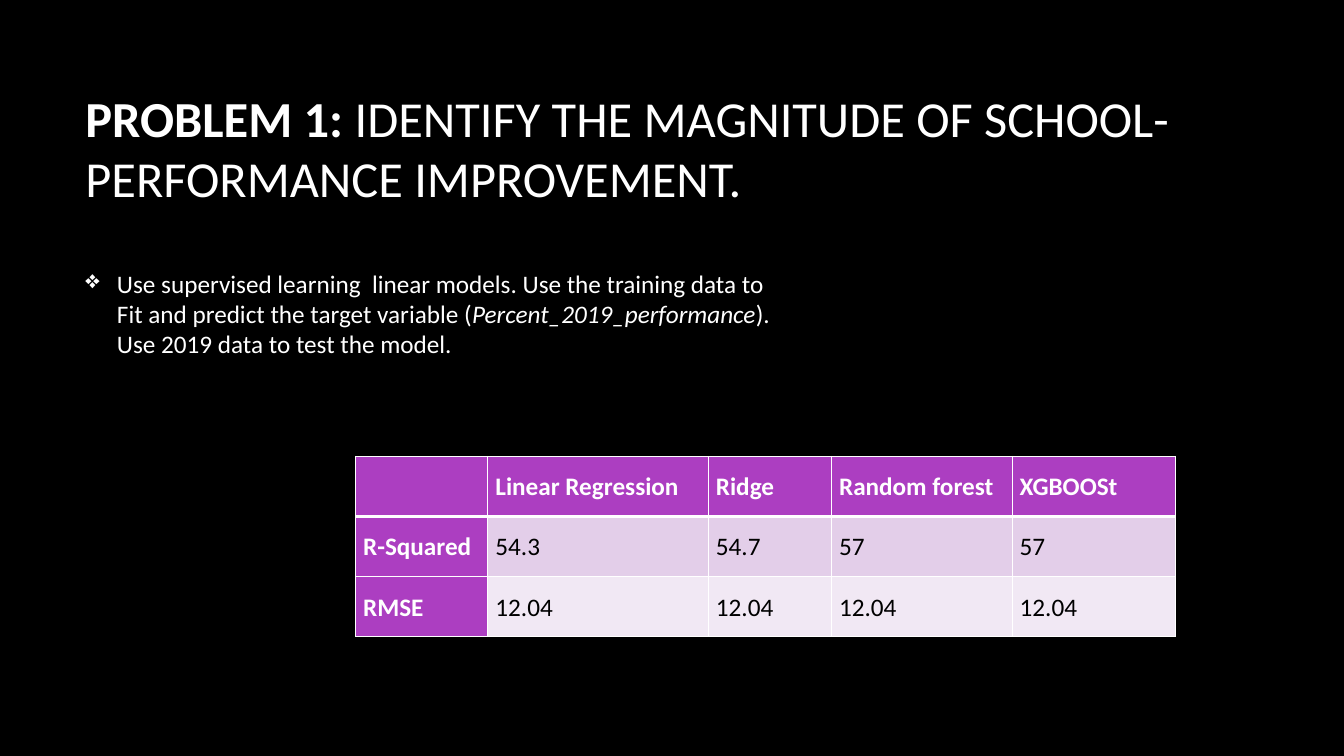
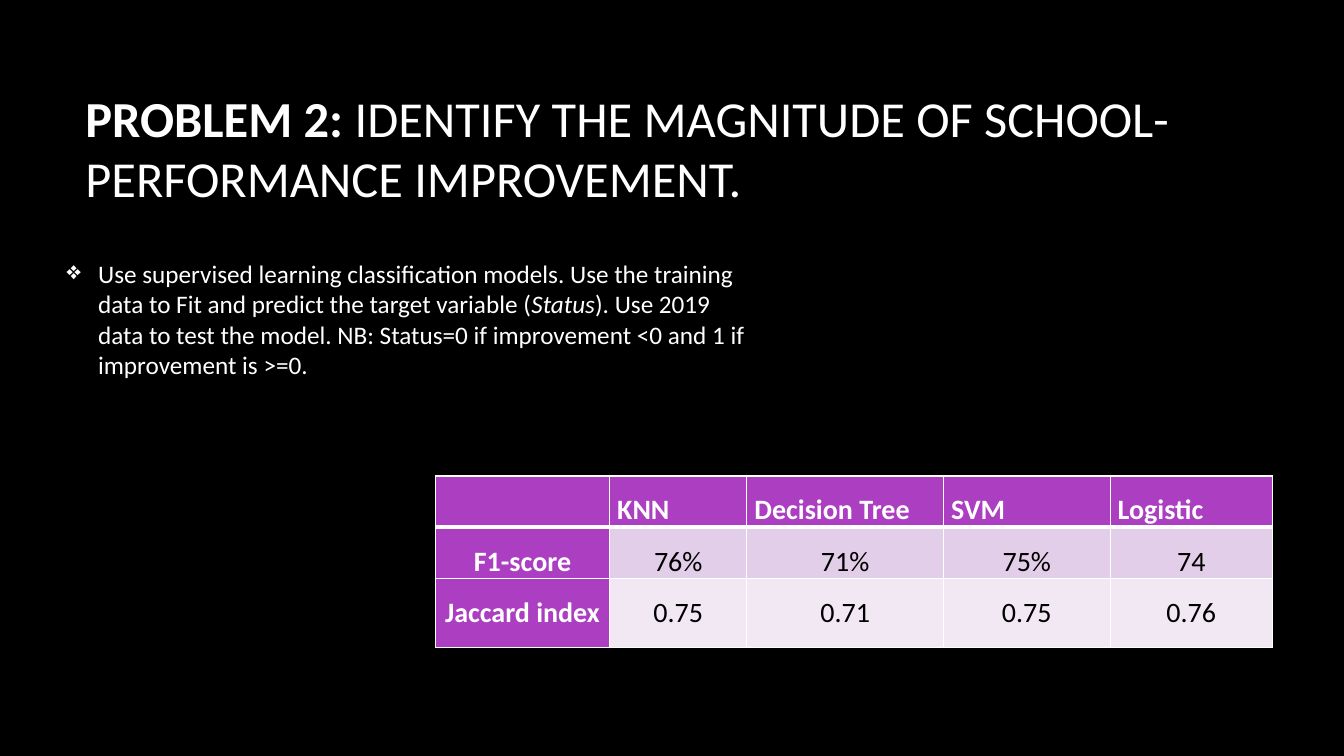
"""Build two slides that compare model scores for school performance."""
from dataclasses import dataclass

from lxml import etree
from pptx import Presentation
from pptx.dml.color import RGBColor
from pptx.enum import text
from pptx.oxml import ns
from pptx.util import Pt


@dataclass(frozen=True)
class Theme:
    font: str = "Calibri"
    back: str = "000000"
    light: str = "FFFFFF"
    dark: str = "000000"
    accent: str = "AC3EC1"
    bands: tuple = ("E3CEE9", "F1E8F4")
    title_size: float = 36
    body_size: float = 18
    hanging: float = 22.5
    cell_inset: float = 5.4
    rule: float = 1
    header_rule: float = 3


class Deck:
    def __init__(self, theme):
        self.theme = theme
        self.prs = Presentation()
        self.prs.slide_width, self.prs.slide_height = Pt(960), Pt(540)
        self.s = None

    def slide(self):
        self.s = self.prs.slides.add_slide(self.prs.slide_layouts[6])
        fill = self.s.background.fill
        fill.solid()
        fill.fore_color.rgb = RGBColor.from_string(self.theme.back)

    def style(self, r, size, color, bold=False, italic=False):
        r.font.name, r.font.size = self.theme.font, Pt(size)
        r.font.bold, r.font.italic = bold, italic
        r.font.color.rgb = RGBColor.from_string(color)

    def text_box(self, box):
        tf = self.s.shapes.add_textbox(*map(Pt, box)).text_frame
        tf.word_wrap = True
        tf.vertical_anchor = text.MSO_ANCHOR.MIDDLE
        return tf

    def title(self, label, heading):
        p = self.text_box((54, 48, 798, 114.5)).paragraphs[0]
        for words, bold in ((label, True), (heading, False)):
            r = p.add_run()
            r.text = words
            self.style(r, self.theme.title_size, self.theme.light, bold=bold)

    def bullet(self, box, before, variable, after, bottom=3.6):
        tf = self.text_box(box)
        tf.margin_bottom = Pt(bottom)
        p = tf.paragraphs[0]
        p.space_after = Pt(10)
        for words in (before, variable, after):
            r = p.add_run()
            r.text = words
            self.style(r, self.theme.body_size, self.theme.light, italic=words == variable)
        props = p._p.get_or_add_pPr()
        props.set("marL", str(Pt(self.theme.hanging)))
        props.set("indent", str(-Pt(self.theme.hanging)))
        color = etree.SubElement(props, ns.qn("a:buClr"))
        etree.SubElement(color, ns.qn("a:srgbClr"), val=self.theme.light)
        etree.SubElement(props, ns.qn("a:buChar"), char="❖")

    def borders(self, cell, row):
        props = cell._tc.get_or_add_tcPr()
        heavy = {(0, "B"), (1, "T")}
        for side in "LRTB":
            width = self.theme.header_rule if (row, side) in heavy else self.theme.rule
            line = etree.SubElement(props, ns.qn(f"a:ln{side}"), w=str(Pt(width)))
            fill = etree.SubElement(line, ns.qn("a:solidFill"))
            etree.SubElement(fill, ns.qn("a:srgbClr"), val=self.theme.light)

    def cell(self, cell, words, row, col, size, align):
        head = row == 0 or col == 0
        self.borders(cell, row)
        cell.fill.solid()
        color = self.theme.accent if head else self.theme.bands[(row - 1) % 2]
        cell.fill.fore_color.rgb = RGBColor.from_string(color)
        if not words:
            return
        cell.margin_left = cell.margin_right = Pt(self.theme.cell_inset)
        cell.margin_top = cell.margin_bottom = 0
        cell.text_frame.text = words
        p = cell.text_frame.paragraphs[0]
        p.alignment, p.line_spacing = align, 1.5
        self.style(p.runs[0], size, self.theme.light if head else self.theme.dark, bold=head)

    def table(self, left, top, widths, heights, rows, size, align):
        frame = self.s.shapes.add_table(
            len(rows), len(widths), Pt(left), Pt(top), Pt(sum(widths)), Pt(sum(heights)))
        table = frame.table
        table.first_col = True
        for column, width in zip(table.columns, widths):
            column.width = Pt(width)
        for i, (height, values) in enumerate(zip(heights, rows)):
            table.rows[i].height = Pt(height)
            for j, words in enumerate(values):
                row_align = align if i else text.PP_ALIGN.JUSTIFY
                self.cell(table.cell(i, j), words, i, j, size, row_align)


def main():
    deck = Deck(Theme())
    heading = "IDENTIFY THE MAGNITUDE OF SCHOOL-PERFORMANCE IMPROVEMENT."

    deck.slide()
    deck.title("PROBLEM 1: ", heading)
    deck.bullet(
        (54, 168.5, 510, 142.5),
        "Use supervised learning  linear models. Use the training data to "
        "Fit and predict the target variable (",
        "Percent_2019_performance",
        "). Use 2019 data to test the model.",
        bottom=35.6)
    deck.table(
        254, 326, (94.5, 157.5, 88, 129, 117), (43,) * 3,
        (("", "Linear Regression", "Ridge", "Random forest", "XGBOOSt"),
         ("R-Squared", "54.3", "54.7", "57", "57"),
         ("RMSE",) + ("12.04",) * 4),
        18, text.PP_ALIGN.JUSTIFY)

    deck.slide()
    deck.title("PROBLEM 2: ", heading)
    deck.bullet(
        (40.5, 160.5, 500.5, 134.5),
        "Use supervised learning classification models. Use the training "
        "data to Fit and predict the target variable (",
        "Status",
        "). Use 2019 data to test the model. NB: Status=0 if improvement <0 "
        "and 1 if improvement is >=0.")
    deck.table(
        311, 340, (124.5, 98, 140.5, 119, 116), (36.6, 36.6, 49.5),
        (("", "KNN", "Decision Tree", "SVM", "Logistic"),
         ("F1-score", "76%", "71%", "75%", "74"),
         ("Jaccard index", "0.75", "0.71", "0.75", "0.76")),
        20, text.PP_ALIGN.CENTER)

    deck.prs.save("out.pptx")


if __name__ == "__main__":
    main()
